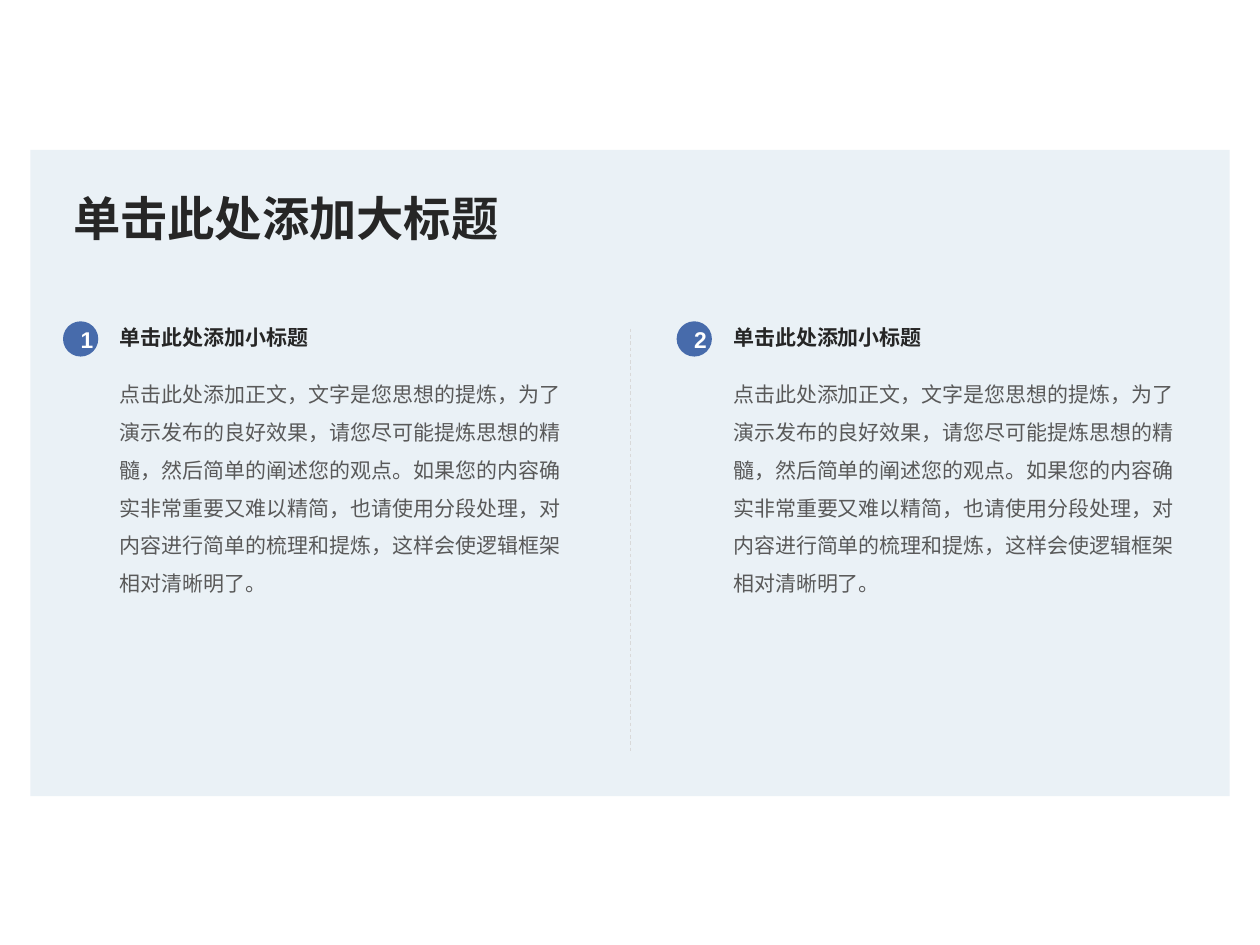
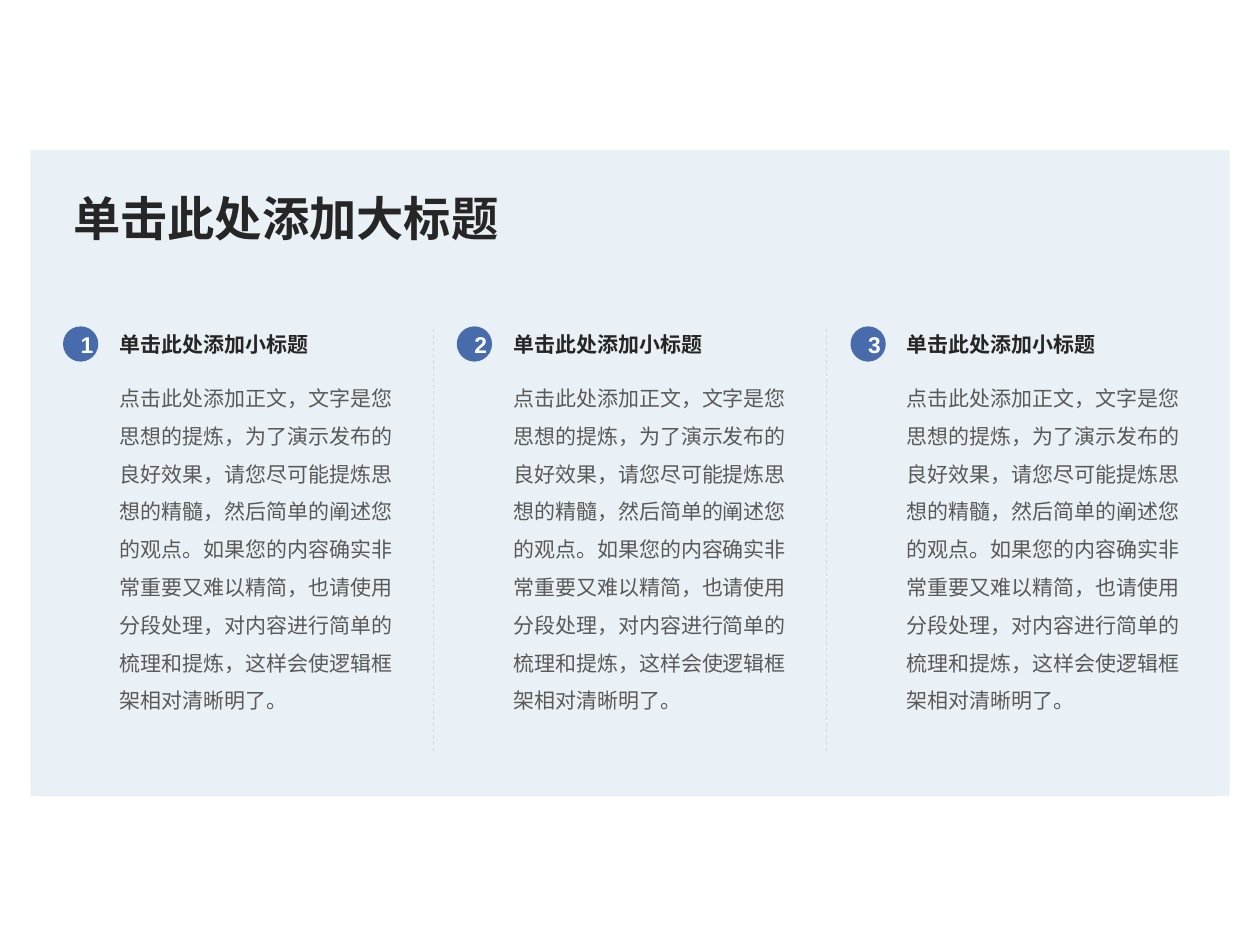
import pptx
import pptx.util
import pptx.dml.color
import pptx.enum.dml
import pptx.enum.lang
import pptx.enum.shapes
import pptx.enum.text
import pptx.oxml.ns
import lxml.etree

Inches = pptx.util.Inches
Pt = pptx.util.Pt
Align = pptx.enum.text.PP_ALIGN
Anchor = pptx.enum.text.MSO_ANCHOR
Preset = pptx.enum.shapes.MSO_SHAPE

TITLE = "单击此处添加大标题"
HEADING = "单击此处添加小标题"
BODY = (
    "点击此处添加正文，文字是您思想的提炼，为了演示发布的良好效果，"
    "请您尽可能提炼思想的精髓，然后简单的阐述您的观点。"
    "如果您的内容确实非常重要又难以精简，也请使用分段处理，"
    "对内容进行简单的梳理和提炼，这样会使逻辑框架相对清晰明了。"
)
SLIDES = [
    {"columns": [(HEADING, BODY)] * 2, "text_width": 3.78,
     "heading_top": 2.53, "badge_top": 2.55, "body_top": 2.88},
    {"columns": [(HEADING, BODY)] * 3, "text_width": 2.4,
     "heading_top": 2.58, "badge_top": 2.59, "body_top": 2.91},
]

FONT = "Arial"
PANEL, BADGE, DIVIDER = "EAF1F6", "476BAB", "D9D9D9"
DARK, GREY, WHITE = "262626", "595959", "FFFFFF"

LEFT, RIGHT = 0.5, 9.5
TEXT_INDENT = 0.35
BADGE_SIZE = 0.28
HEADING_HEIGHT = 0.33
BODY_BOTTOM = 6.06
DIVIDER_TOP, DIVIDER_BOTTOM = 2.61, 5.96


def color(hex_string):
    return pptx.dml.color.RGBColor.from_string(hex_string)


def write(shape, text, size, fill, bold=False, align=Align.LEFT,
          anchor=Anchor.TOP, spacing=1.0, margins=(0.1, 0.05)):
    frame = shape.text_frame
    frame.word_wrap = True
    frame.auto_size = pptx.enum.text.MSO_AUTO_SIZE.NONE
    frame.vertical_anchor = anchor
    frame.margin_left = frame.margin_right = Inches(margins[0])
    frame.margin_top = frame.margin_bottom = Inches(margins[1])
    paragraph = frame.paragraphs[0]
    paragraph.alignment = align
    paragraph.line_spacing = spacing
    paragraph.space_before = Pt(0)
    run = paragraph.add_run()
    run.text = text
    run.font.name = FONT
    run.font.size = Pt(size)
    run.font.bold = bold
    run.font.color.rgb = color(fill)
    run.font.language_id = pptx.enum.lang.MSO_LANGUAGE_ID.SIMPLIFIED_CHINESE


def add_filled(slide, preset, left, top, width, height, fill):
    shape = slide.shapes.add_shape(
        preset, Inches(left), Inches(top), Inches(width), Inches(height))
    shape.shadow.inherit = False
    shape.fill.solid()
    shape.fill.fore_color.rgb = color(fill)
    shape.line.fill.background()
    return shape


def add_text(slide, left, top, width, height, text, **text_format):
    box = slide.shapes.add_textbox(
        Inches(left), Inches(top), Inches(width), Inches(height))
    write(box, text, **text_format)


def add_divider(slide, x):
    line = slide.shapes.add_connector(
        pptx.enum.shapes.MSO_CONNECTOR.STRAIGHT,
        Inches(x), Inches(DIVIDER_TOP), Inches(x), Inches(DIVIDER_BOTTOM))
    line.line.color.rgb = color(DIVIDER)
    line.line.width = Pt(0.5)
    line.line.dash_style = pptx.enum.dml.MSO_LINE.DASH
    properties = line._element.spPr
    lxml.etree.SubElement(properties, pptx.oxml.ns.qn("a:effectLst"))


def add_titled_slide(presentation):
    slide = presentation.slides.add_slide(presentation.slide_layouts[5])
    panel = add_filled(slide, Preset.RECTANGLE, 0.24, 1.19, 9.52, 5.13, PANEL)
    title = slide.shapes.title
    title._element.addprevious(panel._element)
    title.left, title.top = Inches(LEFT), Inches(1.44)
    title.width, title.height = Inches(RIGHT - LEFT), Inches(0.58)
    write(title, TITLE, size=27, fill=DARK, bold=True,
          anchor=Anchor.MIDDLE, margins=(0.08, 0.04))
    return slide


def add_columns(slide, columns, text_width, heading_top, badge_top, body_top):
    column_width = TEXT_INDENT + text_width
    pitch = (RIGHT - LEFT - column_width) / (len(columns) - 1)
    for index, (heading, body) in enumerate(columns):
        left = LEFT + index * pitch
        text_left = left + TEXT_INDENT
        add_text(slide, text_left, body_top, text_width, BODY_BOTTOM - body_top,
                 body, size=12, fill=GREY, spacing=1.5)
        add_text(slide, text_left, heading_top, text_width, HEADING_HEIGHT,
                 heading, size=12, fill=DARK, bold=True)
        badge = add_filled(slide, Preset.OVAL, left, badge_top,
                           BADGE_SIZE, BADGE_SIZE, BADGE)
        write(badge, str(index + 1), size=13, fill=WHITE, bold=True,
              align=Align.CENTER, anchor=Anchor.MIDDLE)
        if index > 0:
            add_divider(slide, left - (pitch - column_width) / 2)


def main():
    presentation = pptx.Presentation()
    presentation.slide_width = Inches(10)
    presentation.slide_height = Inches(7.5)
    for content in SLIDES:
        add_columns(add_titled_slide(presentation), **content)
    presentation.save("out.pptx")


if __name__ == "__main__":
    main()
